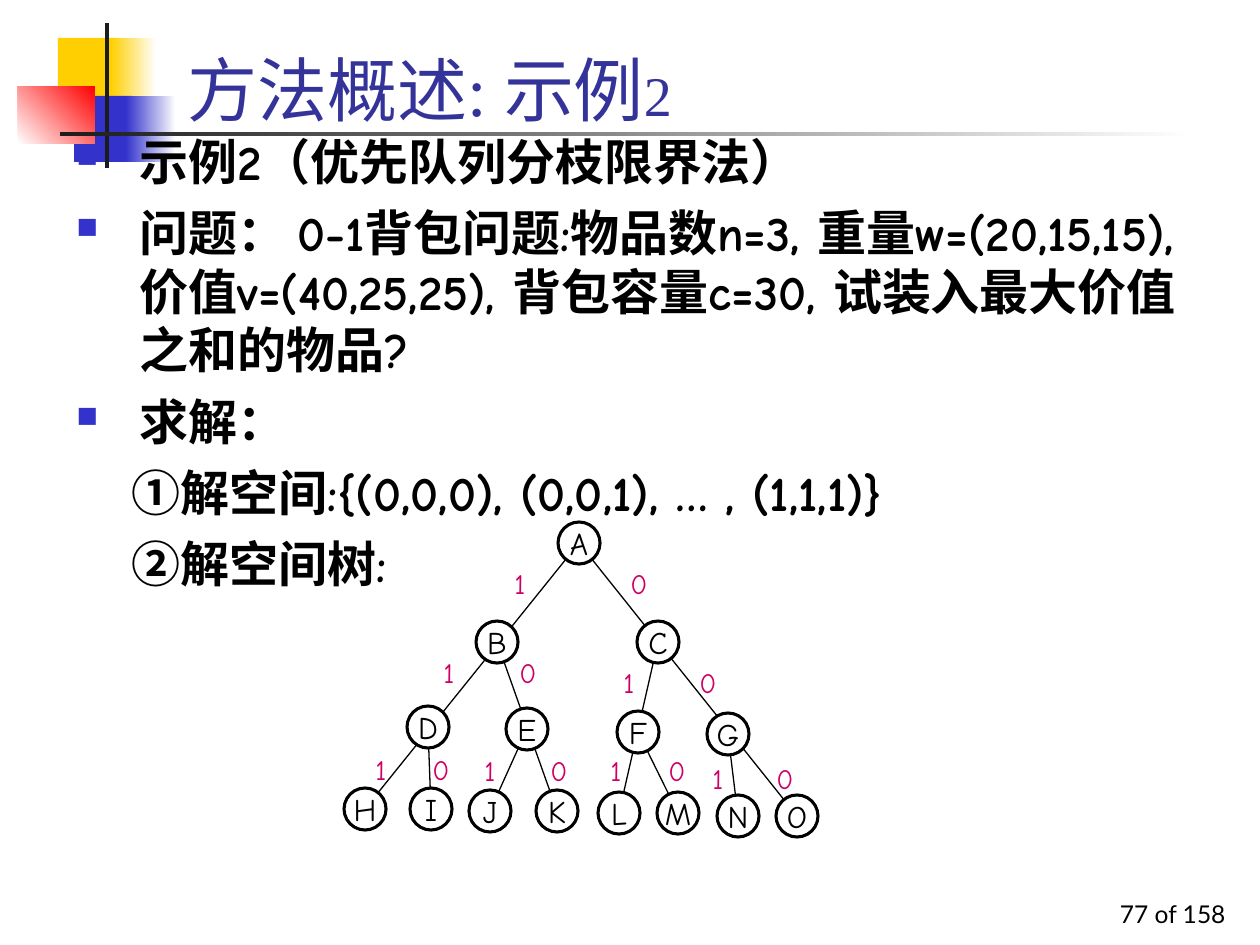
"""Build the slide on the 0-1 knapsack example and its solution space tree."""
from typing import NamedTuple

from lxml.etree import SubElement
from pptx import Presentation
from pptx.dml.color import RGBColor
from pptx.enum.shapes import MSO_CONNECTOR, MSO_SHAPE
from pptx.enum.text import MSO_ANCHOR, PP_ALIGN
from pptx.oxml.ns import qn
from pptx.util import Pt

EMU_PER_PX = 914400 / 126
NODE_SIZE = 42
COLORS = {
    "yellow": "FFCF01", "blue": "3333CC", "red": "FF0000", "white": "FFFFFF",
    "charcoal": "1C1C1C", "black": "000000", "title": "333399", "choice": "CC0066",
}


class Box(NamedTuple):
    left: int
    top: int
    width: int
    height: int


class Block(NamedTuple):
    box: Box
    start: str
    end: str | None = None
    angle: int = 0


class Style(NamedTuple):
    font: str
    size: int
    color: str
    bold: bool = False


class Line(NamedTuple):
    runs: tuple[tuple[str, Style], ...]
    bulleted: bool = False


class Point(NamedTuple):
    x: int
    y: int


class Choice(NamedTuple):
    digit: str
    center: Point


BLOCKS = (
    Block(Box(58, 38, 60, 66), "yellow"),
    Block(Box(111, 38, 45, 66), "yellow", "white"),
    Block(Box(74, 96, 58, 66), "blue"),
    Block(Box(126, 96, 50, 66), "blue", "white"),
    Block(Box(18, 86, 77, 58), "white", "red", 45),
    Block(Box(105, 23, 4, 145), "charcoal"),
    Block(Box(60, 132, 1134, 4), "charcoal", "white"),
)
TITLE = Style("Times New Roman", 40, "title")
TITLE_NUMBER = TITLE._replace(size=32)
BODY = Style("Comic Neue", 28, "black", True)
NODE = Style("Comic Neue", 18, "black")
CHOICE = Style("Comic Neue", 16, "choice")
PAGE = Style("Lato", 14, "black")

TITLE_LINES = (Line((("方法概述: 示例", TITLE), ("2", TITLE_NUMBER))),)
BODY_LINES = (
    Line((("示例2（优先队列分枝限界法）", BODY),), True),
    Line((("问题： 0-1背包问题:物品数n=3, 重量w=(20,15,15), 价值v=(40,25,25), "
           "背包容量c=30, 试装入最大价值之和的物品?", BODY),), True),
    Line((("求解：", BODY),), True),
    Line((("①解空间:{(0,0,0), (0,0,1), … , (1,1,1)}", BODY),)),
    Line((("②解空间树:", BODY),)),
)
PAGE_LINES = (Line((("77 of 158", PAGE),)),)

NODES = {
    "A": Point(579, 543), "B": Point(497, 642), "C": Point(658, 642),
    "D": Point(428, 727), "E": Point(527, 729), "F": Point(638, 732),
    "G": Point(728, 734), "H": Point(365, 809), "I": Point(431, 809),
    "J": Point(490, 811), "K": Point(557, 811), "L": Point(619, 813),
    "M": Point(678, 813), "N": Point(738, 816), "O": Point(797, 816),
}
BRANCHES = ("AO", "BK", "DI", "AH", "EJ", "FM", "CL", "GN")
CHOICE_ROWS = (
    (583, 520, 639), (672, 449, 528), (682, 629, 708), (769, 381, 441),
    (770, 490, 559), (770, 616, 677), (778, 718, 785),
)
CHOICES = tuple(
    Choice(digit, Point(x, y))
    for y, *columns in CHOICE_ROWS
    for digit, x in zip("10", columns)
)


def px(length: float) -> int:
    """Turn pixels into EMU."""
    return round(length * EMU_PER_PX)


def rgb(name: str) -> RGBColor:
    """Look up a colour by name."""
    return RGBColor.from_string(COLORS[name])


def apply_format(target, values: dict) -> None:
    """Set each attribute of the target from a dict of values."""
    for attribute, value in values.items():
        setattr(target, attribute, value)


def add_run(paragraph, text: str, style: Style) -> None:
    """Append styled text to a paragraph."""
    run = paragraph.add_run()
    run.text = text
    apply_format(run.font, {"name": style.font, "size": Pt(style.size), "bold": style.bold})
    run.font.color.rgb = rgb(style.color)


def set_bullet(paragraph) -> None:
    """Give a paragraph a hanging square bullet."""
    properties = paragraph._p.get_or_add_pPr()
    apply_indent(properties, 63, -63)
    color = SubElement(properties, qn("a:buClr"))
    SubElement(color, qn("a:srgbClr"), val=COLORS["blue"])
    SubElement(properties, qn("a:buSzPct"), val="60000")
    SubElement(properties, qn("a:buChar"), char="■")


def apply_indent(properties, margin: int, indent: int) -> None:
    """Set the left margin and first-line indent of a paragraph."""
    properties.set("marL", str(px(margin)))
    properties.set("indent", str(px(indent)))


def add_text(slide, box: Box, lines: tuple[Line, ...], frame_format: dict,
             paragraph_format: dict, margin: int = 0) -> None:
    """Draw a wrapped text box with one paragraph per line."""
    frame = slide.shapes.add_textbox(*map(px, box)).text_frame
    apply_format(frame, {"word_wrap": True, **frame_format})
    for index, line in enumerate(lines):
        paragraph = frame.add_paragraph() if index else frame.paragraphs[0]
        apply_format(paragraph, paragraph_format)
        if line.bulleted:
            set_bullet(paragraph)
        else:
            apply_indent(paragraph._p.get_or_add_pPr(), margin, 0)
        for text, style in line.runs:
            add_run(paragraph, text, style)


def add_block(slide, block: Block) -> None:
    """Draw a solid or fading rectangle of the slide's decoration."""
    shape = slide.shapes.add_shape(MSO_SHAPE.RECTANGLE, *map(px, block.box))
    shape.shadow.inherit = False
    shape.line.fill.background()
    if block.end is None:
        shape.fill.solid()
        shape.fill.fore_color.rgb = rgb(block.start)
        return
    shape.fill.gradient()
    shape.fill.gradient_angle = block.angle
    for stop, color in zip(shape.fill.gradient_stops, (block.start, block.end)):
        stop.color.rgb = rgb(color)


def add_branch(slide, start: Point, end: Point) -> None:
    """Draw a tree branch between two node centres."""
    branch = slide.shapes.add_connector(MSO_CONNECTOR.STRAIGHT, *map(px, (*start, *end)))
    branch.line.color.rgb = rgb("black")
    branch.line.width = Pt(0.75)
    SubElement(branch._element.spPr, qn("a:effectLst"))


def add_circle(slide, center: Point, text: str, style: Style, outlined: bool) -> None:
    """Draw a centred letter or digit, with or without a visible circle."""
    corner = (center.x - NODE_SIZE / 2, center.y - NODE_SIZE / 2)
    circle = slide.shapes.add_shape(MSO_SHAPE.OVAL, *map(px, (*corner, NODE_SIZE, NODE_SIZE)))
    circle.shadow.inherit = False
    if outlined:
        circle.fill.solid()
        circle.fill.fore_color.rgb = rgb("white")
        circle.line.color.rgb = rgb("black")
        circle.line.width = Pt(1.75)
    else:
        circle.fill.background()
        circle.line.fill.background()
    frame = circle.text_frame
    apply_format(frame, {"word_wrap": False, "vertical_anchor": MSO_ANCHOR.MIDDLE})
    frame.paragraphs[0].alignment = PP_ALIGN.CENTER
    add_run(frame.paragraphs[0], text, style)


def main() -> None:
    """Build and save the slide."""
    deck = Presentation()
    apply_format(deck, {"slide_width": px(1260), "slide_height": px(945)})
    slide = deck.slides.add_slide(deck.slide_layouts[6])
    for block in BLOCKS:
        add_block(slide, block)
    bottom = {"vertical_anchor": MSO_ANCHOR.BOTTOM}
    add_text(slide, Box(976, 872, 262, 63), PAGE_LINES, bottom, {"alignment": PP_ALIGN.RIGHT})
    add_text(slide, Box(175, 21, 1074, 116), TITLE_LINES, bottom, {})
    add_text(slide, Box(64, 125, 1150, 684), BODY_LINES, {}, {"space_before": Pt(7)}, margin=55)
    for start, end in BRANCHES:
        add_branch(slide, NODES[start], NODES[end])
    for letter, center in NODES.items():
        add_circle(slide, center, letter, NODE, True)
    for choice in CHOICES:
        add_circle(slide, choice.center, choice.digit, CHOICE, False)
    deck.save("out.pptx")


if __name__ == "__main__":
    main()
